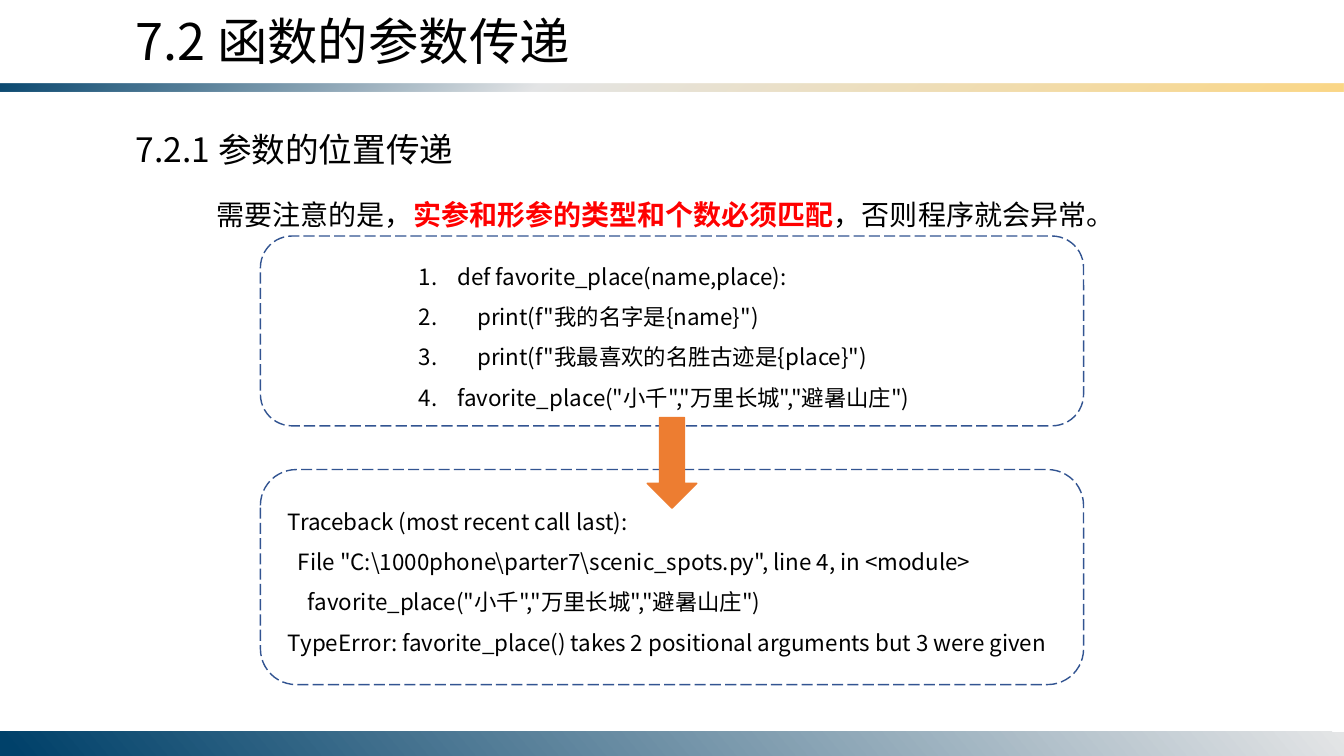
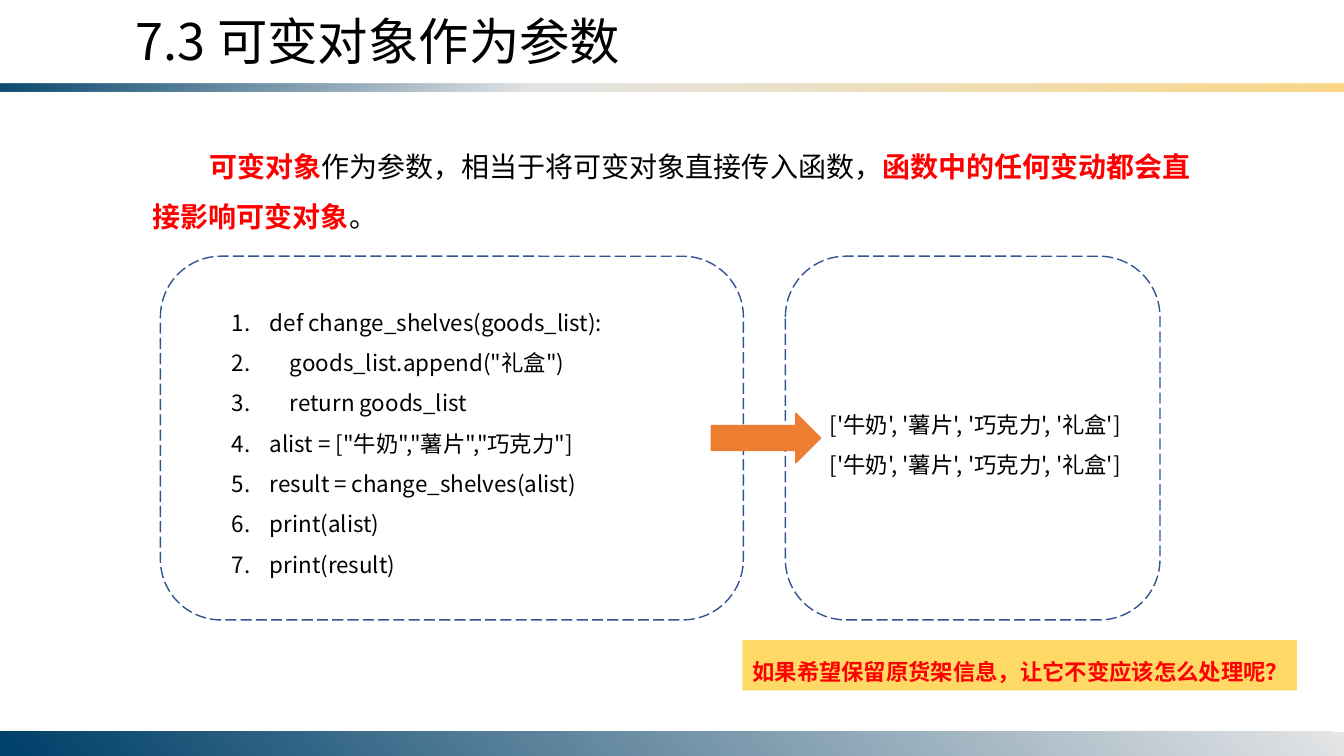
from dataclasses import dataclass

from lxml import etree
from pptx import Presentation
from pptx import util as u
from pptx.dml.color import RGBColor
from pptx.enum import dml, shapes, text
from pptx.oxml import ns


@dataclass(frozen=True)
class Theme:
    font: str = "Noto Sans CJK SC"
    ink: str = "000000"
    accent: str = "FF0000"
    frame: str = "325491"
    arrow: str = "ED7D31"
    banner: str = "FFD966"
    top_band: tuple = ((0, "00416A", 95), (40, "E4E5E6", 100), (100, "FBD786", 100))
    bottom_band: tuple = ((0, "E4E5E6", 100), (99, "00416A", 100))
    title: int = 36
    heading: int = 24
    body: int = 20
    code: int = 16
    spacing: float = 1.5
    hanging: float = 0.38
    first_line: float = 0.56


@dataclass(frozen=True)
class Box:
    left: float
    top: float
    width: float
    height: float

    def inside(self, left, top, width, height):
        return Box(self.left + left, self.top + top, width, height)

    def inches(self):
        return [u.Inches(v * CELL) for v in (self.left, self.top, self.width, self.height)]


THEME = Theme()
COLUMNS, ROWS = 160, 90
CELL = 7.5 / ROWS
SLIDE = Box(0, 0, COLUMNS, ROWS)


def color(value):
    return RGBColor.from_string(value)


def add_block(page, box, fill=None, line=None, dash=None, kind=shapes.MSO_SHAPE.RECTANGLE):
    shape = page.shapes.add_shape(kind, *box.inches())
    shape.shadow.inherit = False
    if fill:
        shape.fill.solid()
        shape.fill.fore_color.rgb = color(fill)
    else:
        shape.fill.background()
    if line:
        shape.line.color.rgb = color(line)
        shape.line.width = u.Pt(1)
        shape.line.dash_style = dash
    else:
        shape.line.fill.background()
    return shape


def add_band(page, box, stops, angle):
    band = add_block(page, box)
    gradient = etree.Element(ns.qn("a:gradFill"), rotWithShape="1")
    stop_list = etree.SubElement(gradient, ns.qn("a:gsLst"))
    for position, value, opacity in stops:
        stop = etree.SubElement(stop_list, ns.qn("a:gs"), pos=str(position * 1000))
        tone = etree.SubElement(stop, ns.qn("a:srgbClr"), val=value)
        if opacity < 100:
            etree.SubElement(tone, ns.qn("a:alpha"), val=str(opacity * 1000))
    etree.SubElement(gradient, ns.qn("a:lin"), ang=str(angle * 60000), scaled="0")
    properties = band.fill._xPr
    properties.replace(properties.find(ns.qn("a:noFill")), gradient)


def write(shape, paragraphs, size, spacing=None, numbered=False, indent=0):
    frame = shape.text_frame
    frame.word_wrap = True
    frame.auto_size = text.MSO_AUTO_SIZE.SHAPE_TO_FIT_TEXT
    for index, spans in enumerate(paragraphs):
        para = frame.add_paragraph() if index else frame.paragraphs[0]
        para.alignment = text.PP_ALIGN.LEFT
        if spacing:
            para.line_spacing = spacing
        properties = para._p.get_or_add_pPr()
        if numbered:
            properties.set("marL", str(u.Inches(THEME.hanging)))
            properties.set("indent", str(-u.Inches(THEME.hanging)))
            etree.SubElement(properties, ns.qn("a:buFont"), typeface="+mj-lt")
            etree.SubElement(properties, ns.qn("a:buAutoNum"), type="arabicPeriod")
        elif indent:
            properties.set("indent", str(u.Inches(indent)))
        for words, strong in [(spans, False)] if isinstance(spans, str) else spans:
            span = para.add_run()
            span.text = words
            span.font.size = u.Pt(size)
            span.font.name = THEME.font
            span.font.bold = strong
            span.font.color.rgb = color(THEME.accent if strong else THEME.ink)
            etree.SubElement(span.font._rPr, ns.qn("a:ea"), typeface=THEME.font)


def add_text(page, box, paragraphs, size, **style):
    write(page.shapes.add_textbox(*box.inches()), paragraphs, size, **style)


def add_statement(page, box, spans):
    add_text(page, box, [spans], THEME.body, spacing=THEME.spacing, indent=THEME.first_line)


def add_panel(page, box, content, lines, numbered=False):
    add_text(page, content, lines, THEME.code, spacing=THEME.spacing, numbered=numbered)
    add_block(page, box, line=THEME.frame, dash=dml.MSO_LINE.LONG_DASH,
              kind=shapes.MSO_SHAPE.ROUNDED_RECTANGLE)


def add_arrow(page, box, kind):
    add_block(page, box, fill=THEME.arrow, line=THEME.arrow, kind=kind)


def add_page(deck, title):
    page = deck.slides.add_slide(deck.slide_layouts[6])
    add_band(page, SLIDE.inside(0, 9.95, COLUMNS, 1), THEME.top_band, 50)
    add_band(page, SLIDE.inside(0, 87.1, COLUMNS, 2.9), THEME.bottom_band, 140)
    add_text(page, SLIDE.inside(15, 0.6, 73.4, 8.5), [title], THEME.title)
    return page


def build_position_page(deck, box):
    page = add_page(deck, "7.2 函数的参数传递")
    add_text(page, box.inside(15, 14.8, 42.1, 6), ["7.2.1 参数的位置传递"], THEME.heading)
    add_statement(page, box.inside(17.9, 20.9, 124.3, 7.2), [
        ("需要注意的是，", False),
        ("实参和形参的类型和个数必须匹配", True),
        ("，否则程序就会异常。", False),
    ])
    code = box.inside(31, 28.1, 98, 22.6)
    add_panel(page, code, code.inside(17.7, 1, 65.6, 20.6), [
        "def favorite_place(name,place):",
        '    print(f"我的名字是{name}")',
        '    print(f"我最喜欢的名胜古迹是{place}")',
        'favorite_place("小千","万里长城","避暑山庄")',
    ], numbered=True)
    output = box.inside(31, 55.9, 98, 25.6)
    add_panel(page, output, output.inside(2.1, 2.4, 96.8, 20.6), [
        "Traceback (most recent call last):",
        '  File "C:\\1000phone\\parter7\\scenic_spots.py", line 4, in <module>',
        '    favorite_place("小千","万里长城","避暑山庄")',
        "TypeError: favorite_place() takes 2 positional arguments but 3 were given",
    ])
    add_arrow(page, box.inside(77.05, 49.7, 5.9, 10.8), shapes.MSO_SHAPE.DOWN_ARROW)


def build_mutable_page(deck, box):
    page = add_page(deck, "7.3 可变对象作为参数")
    add_statement(page, box.inside(17, 15.2, 126, 13.3), [
        ("可变对象", True),
        ("作为参数，相当于将可变对象直接传入函数，", False),
        ("函数中的任何变动都会直接影响可变对象", True),
        ("。", False),
    ])
    code = box.inside(19.1, 30.5, 69.4, 43.3)
    add_panel(page, code, code.inside(7.3, 4.1, 50.6, 35.2), [
        "def change_shelves(goods_list):",
        '    goods_list.append("礼盒")',
        "    return goods_list",
        'alist = ["牛奶","薯片","巧克力"]',
        "result = change_shelves(alist)",
        "print(alist)",
        "print(result)",
    ], numbered=True)
    output = box.inside(93.5, 30.5, 44.6, 43.3)
    add_panel(page, output, output.inside(4.1, 16.2, 38.9, 10.9),
              ["['牛奶', '薯片', '巧克力', '礼盒']"] * 2)
    add_arrow(page, box.inside(84.7, 49.2, 13, 5.9), shapes.MSO_SHAPE.RIGHT_ARROW)
    banner = add_block(page, box.inside(88.4, 76.2, 66, 6), fill=THEME.banner)
    write(banner, [[("如果希望保留原货架信息，让它不变应该怎么处理呢？", True)]],
          THEME.code, spacing=THEME.spacing)


def main():
    deck = Presentation()
    deck.slide_width = u.Inches(COLUMNS * CELL)
    deck.slide_height = u.Inches(ROWS * CELL)
    build_position_page(deck, SLIDE)
    build_mutable_page(deck, SLIDE)
    deck.save("out.pptx")


if __name__ == "__main__":
    main()
